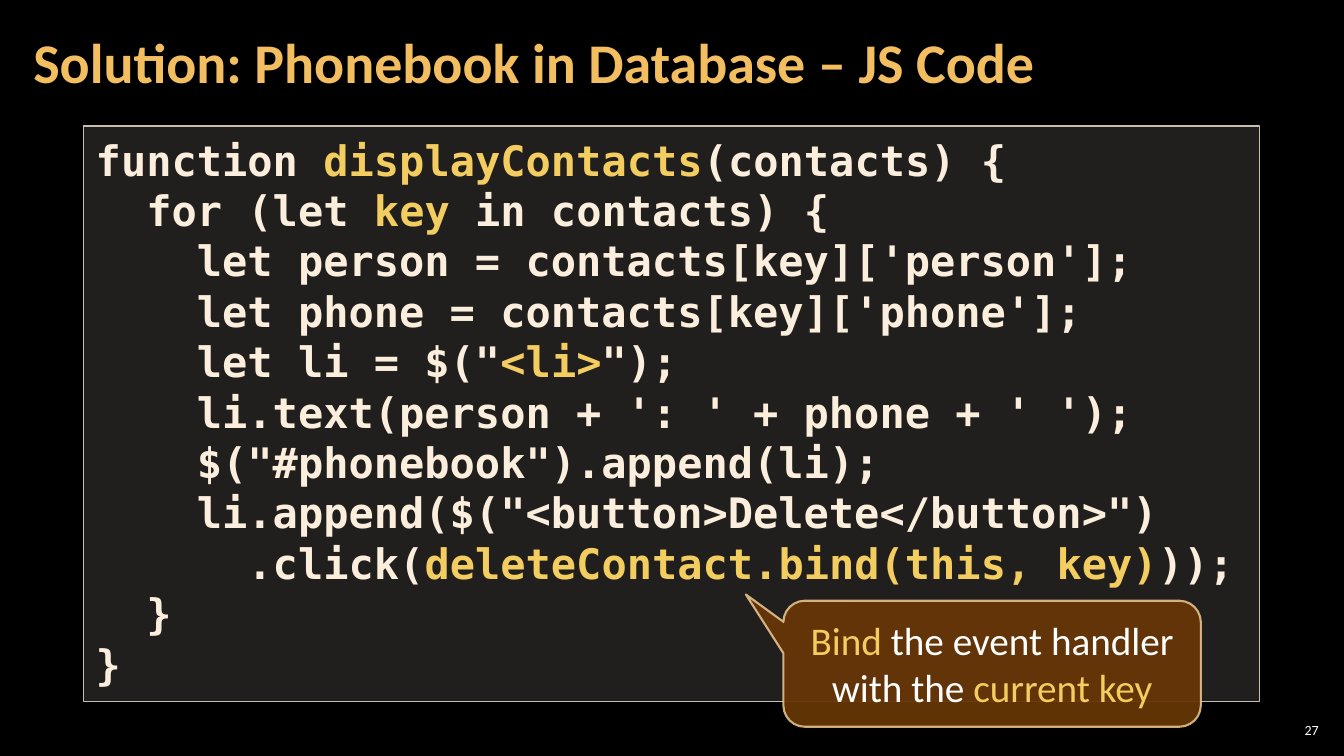
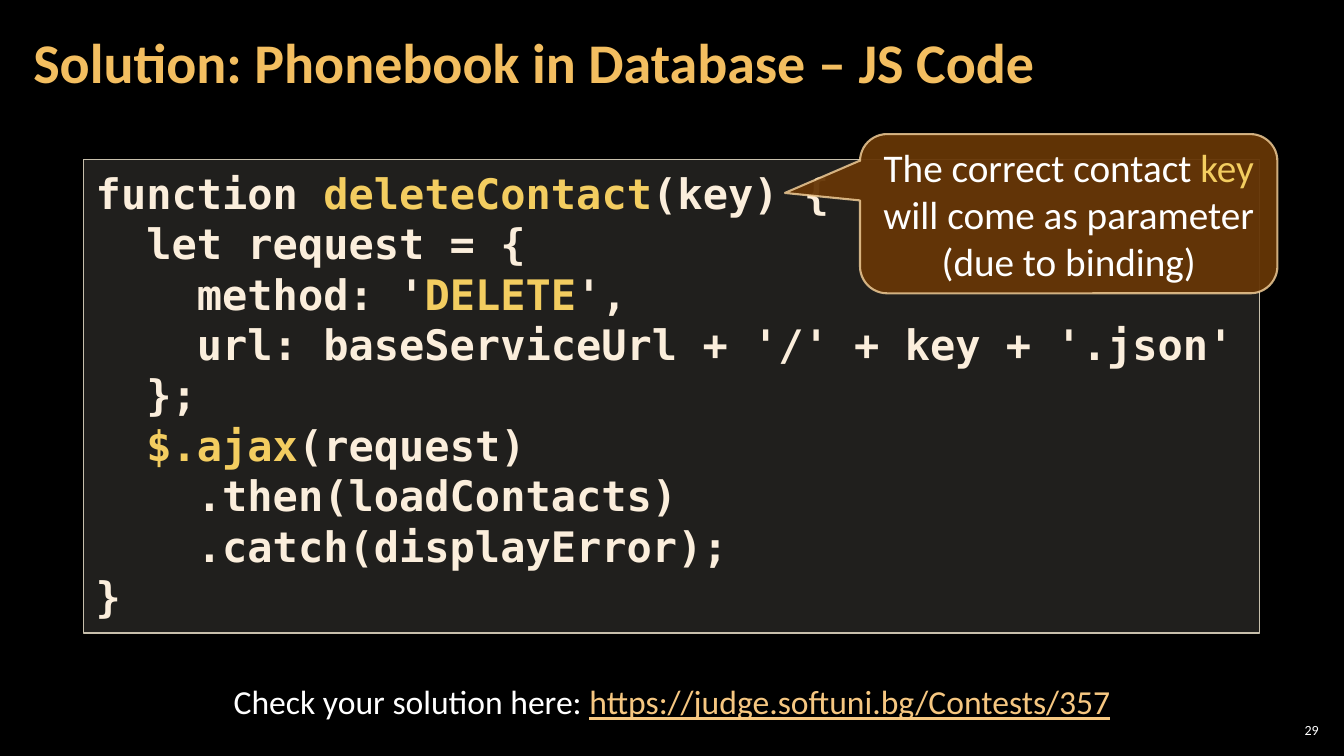
from lxml.etree import SubElement
from pptx import Presentation
from pptx.dml.color import RGBColor
from pptx.enum.shapes import MSO_SHAPE as Preset
from pptx.enum.text import MSO_ANCHOR as Anchor, MSO_AUTO_SIZE as AutoSize, PP_ALIGN as Align
from pptx.oxml.ns import qn
from pptx.util import Inches, Pt

BLACK = RGBColor(0x00, 0x00, 0x00)
WHITE = RGBColor(0xFF, 0xFF, 0xFF)
TITLE_GOLD = RGBColor(0xF3, 0xBE, 0x60)
HIGHLIGHT = RGBColor(0xF3, 0xCD, 0x60)
LINK_GOLD = RGBColor(0xF6, 0xC7, 0x81)
CODE_TEXT = RGBColor(0xFB, 0xEE, 0xDC)
CODE_FILL = RGBColor(0xD9, 0xD5, 0xC7)
CODE_BORDER = RGBColor(0xC7, 0xBF, 0xAC)
CALLOUT_FILL = RGBColor(0x66, 0x36, 0x06)
CALLOUT_BORDER = RGBColor(0xF8, 0xD4, 0x9E)

BODY_FONT = "Calibri"
CODE_FONT = "DejaVu Sans Mono"
MARK = "|"

TITLE = "Solution: Phonebook in Database – JS Code"
TITLE_BOX = (0.21, 0.04, 10.47, 1.21)
NUMBER_BOX = (12.65, 7.14, 0.47, 0.21)
CODE_LEFT, CODE_WIDTH = 0.83, 11.66
CALLOUT_WIDTH = 4.14

DISPLAY_CODE = """function |displayContacts|(contacts) {
  for (let |key| in contacts) {
    let person = contacts[key]['person'];
    let phone = contacts[key]['phone'];
    let li = $("|<li>|");
    li.text(person + ': ' + phone + ' ');
    $("#phonebook").append(li);
    li.append($("<button>Delete</button>")
      .click(|deleteContact.bind(this, key)|));
  }
}"""

DELETE_CODE = """function |deleteContact|(key) {
  let request = {
    method: '|DELETE|',
    url: baseServiceUrl + '/' + key + '.json'
  };
  |$.ajax|(request)
    .then(loadContacts)
    .catch(displayError);
}"""


def inches(box):
    return [Inches(length) for length in box]


def write(shape, text, *, size, font=BODY_FONT, color=WHITE, accent=HIGHLIGHT,
          bold=False, underline_accent=False, align=Align.LEFT,
          anchor=Anchor.MIDDLE, insets=(0.1, 0.05), spacing=None):
    frame = shape.text_frame
    frame.word_wrap = True
    frame.auto_size = AutoSize.NONE
    frame.vertical_anchor = anchor
    frame.margin_left = frame.margin_right = Inches(insets[0])
    frame.margin_top = frame.margin_bottom = Inches(insets[1])
    for index, line in enumerate(text.split("\n")):
        paragraph = frame.add_paragraph() if index else frame.paragraphs[0]
        paragraph.alignment = align
        if spacing:
            paragraph.line_spacing = spacing
        for position, part in enumerate(line.split(MARK)):
            if not part:
                continue
            accented = position % 2 == 1
            run = paragraph.add_run()
            run.text = part
            run.font.name = font
            run.font.size = Pt(size)
            run.font.bold = bold
            run.font.color.rgb = accent if accented else color
            if accented and underline_accent:
                run.font.underline = True


def set_opacity(shape, *percentages):
    colors = shape.element.spPr.iter(qn("a:srgbClr"))
    for color, percent in zip(colors, percentages):
        SubElement(color, qn("a:alpha")).set("val", str(percent * 1000))


def add_panel(slide, preset, box, fill, border, border_width):
    panel = slide.shapes.add_shape(preset, *inches(box))
    panel.shadow.inherit = False
    panel.fill.solid()
    panel.fill.fore_color.rgb = fill
    panel.line.color.rgb = border
    panel.line.width = Pt(border_width)
    return panel


def add_solution_slide(prs, number):
    slide = prs.slides.add_slide(prs.slide_layouts[5])
    title = slide.shapes.title
    title.left, title.top, title.width, title.height = inches(TITLE_BOX)
    write(title, TITLE, size=40, color=TITLE_GOLD, bold=True,
          insets=(0.12, 0.04), spacing=0.9)
    page_number = slide.shapes.add_textbox(*inches(NUMBER_BOX))
    write(page_number, str(number), size=10, align=Align.RIGHT, insets=(0.04, 0.04))
    return slide


def add_code(slide, code, top, height):
    panel = add_panel(slide, Preset.RECTANGLE, (CODE_LEFT, top, CODE_WIDTH, height),
                      CODE_FILL, CODE_BORDER, 1)
    set_opacity(panel, 15)
    write(panel, code, size=30, font=CODE_FONT, color=CODE_TEXT, bold=True,
          anchor=Anchor.TOP, insets=(0.12, 0.08))


def add_callout(slide, text, left, top, height, tip):
    callout = add_panel(slide, Preset.ROUNDED_RECTANGULAR_CALLOUT,
                        (left, top, CALLOUT_WIDTH, height),
                        CALLOUT_FILL, CALLOUT_BORDER, 1.5)
    set_opacity(callout, 95, 80)
    callout.adjustments[0], callout.adjustments[1] = tip
    callout.adjustments[2] = 0.17
    write(callout, text, size=28, align=Align.CENTER)


def add_check_line(slide, text, box):
    check_line = slide.shapes.add_textbox(*inches(box))
    write(check_line, text, size=24, accent=LINK_GOLD, underline_accent=True,
          align=Align.CENTER, anchor=Anchor.TOP)


def main():
    prs = Presentation()
    prs.slide_width, prs.slide_height = Inches(13.33), Inches(7.5)
    background = prs.slide_master.background.fill
    background.solid()
    background.fore_color.rgb = BLACK

    display = add_solution_slide(prs, 27)
    add_code(display, DISPLAY_CODE, 1.25, 5.71)
    add_callout(display, "|Bind| the event handler with the |current key|",
                7.77, 5.96, 1.25, (-0.59, -0.55))

    delete = add_solution_slide(prs, 29)
    add_code(delete, DELETE_CODE, 1.58, 4.7)
    add_check_line(delete, "Check your solution here: |https://judge.softuni.bg/Contests/357|",
                   (0.89, 6.71, 11.55, 0.5))
    add_callout(delete, "The correct contact |key |will come as parameter (due to binding)",
                8.53, 1.33, 1.58, (-0.68, -0.13))

    prs.save("out.pptx")


if __name__ == "__main__":
    main()
